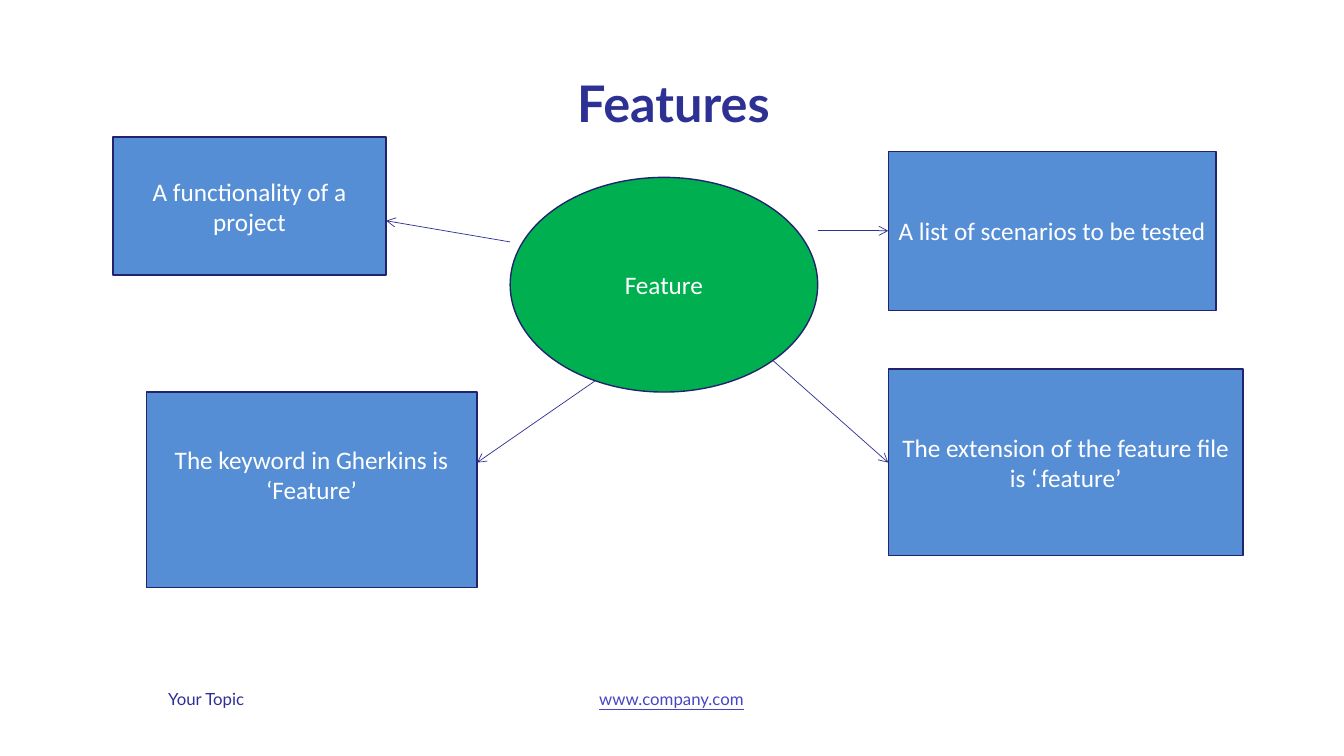
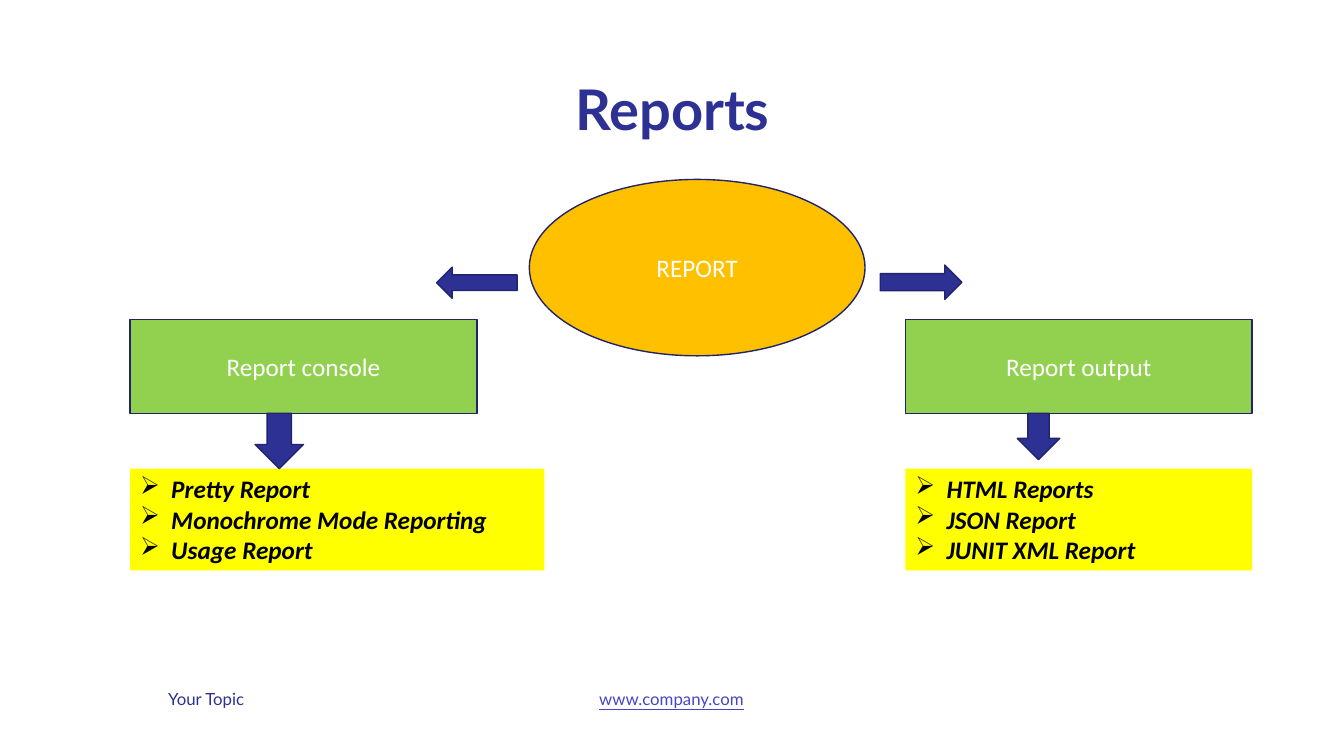
from dataclasses import dataclass

from lxml.etree import SubElement
from pptx import Presentation
from pptx.dml.color import RGBColor
from pptx.enum.shapes import MSO_CONNECTOR, MSO_SHAPE as SHAPE
from pptx.enum.text import MSO_ANCHOR as ANCHOR, MSO_AUTO_SIZE as FIT, PP_ALIGN as ALIGN
from pptx.oxml.ns import qn
from pptx.util import Inches, Pt

NAVY = RGBColor(0x2D, 0x31, 0x94)
OUTLINE = RGBColor(0x21, 0x24, 0x6D)
LINK = RGBColor(0x46, 0x46, 0xC5)
BLUE = RGBColor(0x55, 0x8E, 0xD5)
GREEN = RGBColor(0x00, 0xB0, 0x50)
LIME = RGBColor(0x92, 0xD0, 0x50)
AMBER = RGBColor(0xFF, 0xC0, 0x00)
YELLOW = RGBColor(0xFF, 0xFF, 0x00)
WHITE = RGBColor(0xFF, 0xFF, 0xFF)
BLACK = RGBColor(0x00, 0x00, 0x00)
HEAD_FONT, BODY_FONT = "Lato", "Calibri"


@dataclass(frozen=True)
class Box:
    left: float
    top: float
    width: float
    height: float

    def emu(self):
        return [Inches(v) for v in (self.left, self.top, self.width, self.height)]


@dataclass(frozen=True)
class Node:
    box: Box
    fill: RGBColor
    text: str = ""
    kind: SHAPE = SHAPE.RECTANGLE
    bottom_inset: float = 0.05


@dataclass(frozen=True)
class Arrow:
    start: tuple[float, float]
    end: tuple[float, float]


@dataclass(frozen=True)
class BulletList:
    box: Box
    items: tuple[str, ...]


FEATURE_NODES = (
    Node(Box(5.06, 1.76, 3.05, 2.13), GREEN, "Feature", SHAPE.OVAL),
    Node(Box(1.12, 1.36, 2.71, 1.37), BLUE, "A functionality of a project"),
    Node(Box(8.81, 1.5, 3.25, 1.58), BLUE, "A list of scenarios to be tested"),
    Node(Box(1.45, 3.89, 3.28, 1.94), BLUE, "The keyword in Gherkins is ‘Feature’",
         bottom_inset=0.35),
    Node(Box(8.81, 3.66, 3.52, 1.85), BLUE, "The extension of the feature file is ‘.feature’"),
)
FEATURE_ARROWS = (
    Arrow((5.06, 2.4), (3.83, 2.19)),
    Arrow((8.11, 2.29), (8.81, 2.29)),
    Arrow((7.67, 3.58), (8.81, 4.59)),
    Arrow((5.9, 3.78), (4.73, 4.59)),
)
LEFT_COLUMN, RIGHT_COLUMN = 1.29, 8.98
REPORT_NODES = (
    Node(Box(5.25, 1.78, 3.33, 1.75), AMBER, "REPORT", SHAPE.OVAL),
    Node(Box(LEFT_COLUMN, 3.17, 3.44, 0.93), LIME, "Report console"),
    Node(Box(RIGHT_COLUMN, 3.17, 3.44, 0.93), LIME, "Report output"),
    Node(Box(4.33, 2.65, 0.8, 0.31), NAVY, kind=SHAPE.LEFT_ARROW),
    Node(Box(8.73, 2.63, 0.81, 0.34), NAVY, kind=SHAPE.RIGHT_ARROW),
    Node(Box(2.53, 4.1, 0.48, 0.55), NAVY, kind=SHAPE.DOWN_ARROW),
    Node(Box(10.09, 4.1, 0.42, 0.46), NAVY, kind=SHAPE.DOWN_ARROW),
)
REPORT_LISTS = (
    BulletList(Box(LEFT_COLUMN, 4.65, 4.11, 1.01),
               ("Pretty Report", "Monochrome Mode Reporting", "Usage Report")),
    BulletList(Box(RIGHT_COLUMN, 4.65, 3.44, 1.01),
               ("HTML Reports", "JSON Report", "JUNIT XML Report")),
)


def add_run(p, text: str, size: int, color: RGBColor, font: str = BODY_FONT,
            bold: bool = False, italic: bool = False, underline: bool = False):
    r = p.add_run()
    r.text = text
    f = r.font
    f.name, f.size, f.bold, f.italic, f.underline = font, Pt(size), bold, italic, underline
    f.color.rgb = color


def add_text(slide, box: Box, text: str, size: int, color: RGBColor,
             align: ALIGN = ALIGN.CENTER, bold: bool = False, underline: bool = False):
    tf = slide.shapes.add_textbox(*box.emu()).text_frame
    tf.word_wrap = True
    p = tf.paragraphs[0]
    p.alignment = align
    add_run(p, text, size, color, HEAD_FONT, bold=bold, underline=underline)
    return tf


def add_page(prs, title: str, size: int, box: Box):
    slide = prs.slides.add_slide(prs.slide_layouts[6])
    add_text(slide, Box(1.57, 6.78, 2.08, 0.3), "Your Topic", 12, NAVY, ALIGN.LEFT)
    add_text(slide, Box(5.62, 6.78, 2.08, 0.3), "www.company.com", 12, LINK, underline=True)
    tf = add_text(slide, box, title, size, NAVY, bold=True)
    tf.vertical_anchor = ANCHOR.BOTTOM
    tf.paragraphs[0].line_spacing = Pt(43)
    return slide


def add_node(slide, node: Node):
    sp = slide.shapes.add_shape(node.kind, *node.box.emu())
    sp.shadow.inherit = False
    sp.fill.solid()
    sp.fill.fore_color.rgb = node.fill
    sp.line.color.rgb = OUTLINE
    sp.line.width = Pt(1)
    if node.text:
        tf = sp.text_frame
        tf.word_wrap = True
        tf.vertical_anchor = ANCHOR.MIDDLE
        tf.margin_bottom = Inches(node.bottom_inset)
        p = tf.paragraphs[0]
        p.alignment = ALIGN.CENTER
        add_run(p, node.text, 18, WHITE)


def add_arrow(slide, arrow: Arrow):
    points = [Inches(v) for v in (*arrow.start, *arrow.end)]
    line = slide.shapes.add_connector(MSO_CONNECTOR.STRAIGHT, *points)
    line.line.color.rgb = NAVY
    line.line.width = Pt(0.5)
    SubElement(line.line._get_or_add_ln(), qn("a:tailEnd"), type="arrow")
    SubElement(line._element.spPr, qn("a:effectLst"))


def add_bullets(slide, bullets: BulletList):
    sp = slide.shapes.add_textbox(*bullets.box.emu())
    sp.fill.solid()
    sp.fill.fore_color.rgb = YELLOW
    tf = sp.text_frame
    tf.word_wrap = True
    tf.auto_size = FIT.SHAPE_TO_FIT_TEXT
    for i, item in enumerate(bullets.items):
        p = tf.add_paragraph() if i else tf.paragraphs[0]
        props = p._p.get_or_add_pPr()
        props.set("marL", str(Inches(0.31)))
        props.set("indent", str(-Inches(0.31)))
        SubElement(props, qn("a:buChar"), char="➢")
        add_run(p, item, 18, BLACK, bold=True, italic=True)


def main():
    prs = Presentation()
    prs.slide_width, prs.slide_height = Inches(13.33), Inches(7.5)

    features = add_page(prs, "Features", 36, Box(1.68, 0.71, 10, 0.65))
    for node in FEATURE_NODES:
        add_node(features, node)
    for arrow in FEATURE_ARROWS:
        add_arrow(features, arrow)

    reports = add_page(prs, "Reports", 40, Box(1.67, 0.7, 10, 0.75))
    for bullets in REPORT_LISTS:
        add_bullets(reports, bullets)
    for node in REPORT_NODES:
        add_node(reports, node)

    prs.save("out.pptx")


if __name__ == "__main__":
    main()
